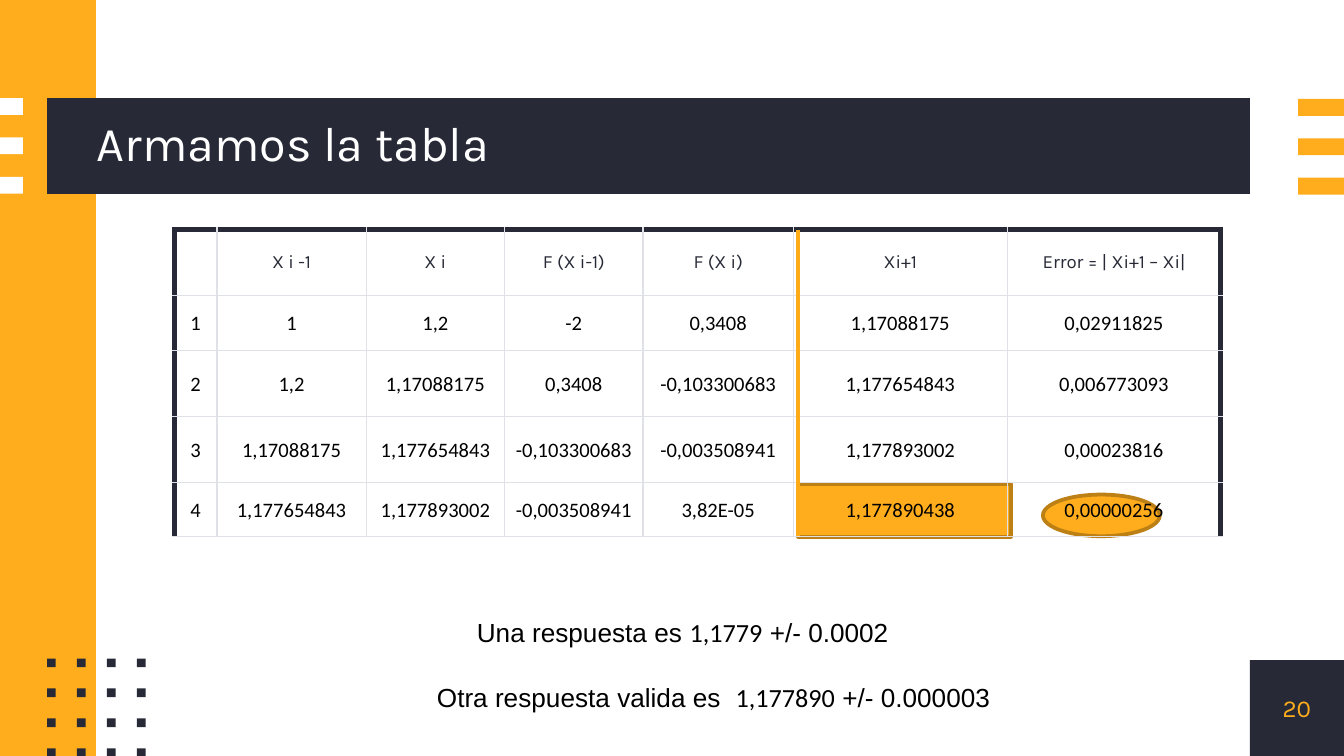
"""Build the slide with the table of secant method iterations."""
from dataclasses import dataclass

from lxml import etree
from pptx import Presentation, util as u
from pptx.dml.color import RGBColor
from pptx.enum import shapes, text
from pptx.oxml import ns


@dataclass(frozen=True)
class Theme:
    dark: str = "272A36"
    amber: str = "FFAD1D"
    rule: str = "FFAB17"
    ochre: str = "BD8015"
    grid: str = "E0E0E7"
    white: str = "FFFFFF"
    black: str = "000000"
    display: str = "Karla"
    body: str = "Arial"
    figures: str = "Calibri"
    title_size: int = 26
    answer_size: int = 14
    number_size: int = 13
    value_size: int = 11
    header_size: int = 10


theme = Theme()
cell_size = u.Inches(0.1)
columns, rows = 100, 56.25
deck = Presentation()
deck.slide_width = u.Emu(int(columns * cell_size))
deck.slide_height = u.Emu(int(rows * cell_size))
page = deck.slides.add_slide(deck.slide_layouts[6])


def add_block(area, fill, outline=None, kind=shapes.MSO_SHAPE.RECTANGLE):
    block = page.shapes.add_shape(kind, *[int(side * cell_size) for side in area])
    block.shadow.inherit = False
    block.fill.solid()
    block.fill.fore_color.rgb = RGBColor.from_string(fill)
    if outline:
        block.line.color.rgb = RGBColor.from_string(outline)
        block.line.width = u.Pt(2)
    else:
        block.line.fill.background()
    return block


def style_text(para, size, color, font=None, align=text.PP_ALIGN.CENTER):
    para.alignment = align
    para.font.size = u.Pt(size)
    para.font.color.rgb = RGBColor.from_string(color)
    if font:
        para.font.name = font


band = 7.13
number_box = add_block((columns - 7, rows - band, 7, band), theme.dark)
add_block((0, 0, band, rows), theme.amber)
title_box = add_block((3.5, 7.3, 89.5, band), theme.dark)
for step in range(3):
    top = 7.3 + step * 2.93
    add_block((0, top, 1.7, 1.25), theme.white)
    add_block((96.6, top + 0.07, 3.4, 1.25), theme.amber)
for row in range(4):
    for column in range(4):
        add_block((3.5 + column * 2.23, 49 + row * 2.23, 0.65, 0.65), theme.dark)
add_block((77.6, 36.8, 8.7, 3.1), theme.amber, theme.ochre, shapes.MSO_SHAPE.OVAL)
add_block((59.4, 36, 15.8, 3.95), theme.amber, theme.ochre)

labels = [
    (title_box, "Armamos la tabla", theme.title_size, theme.white, text.PP_ALIGN.LEFT, 3.7),
    (number_box, "20", theme.number_size, theme.amber, text.PP_ALIGN.CENTER, 0),
]
for box, words, size, color, align, indent in labels:
    frame = box.text_frame
    frame.margin_left = int(indent * cell_size)
    frame.margin_right = frame.margin_top = frame.margin_bottom = 0
    frame.vertical_anchor = text.MSO_ANCHOR.MIDDLE
    para = frame.paragraphs[0]
    para.text = words
    style_text(para, size, color, theme.display, align)
title_box.text_frame.paragraphs[0].line_spacing = 0.9

records = [
    ["", "X i -1", "X i", "F (X i-1)", "F (X i)", "Xi+1", "Error = | Xi+1 – Xi|"],
    ["1", "1", "1,2", "-2", "0,3408", "1,17088175", "0,02911825"],
    ["2", "1,2", "1,17088175", "0,3408", "-0,103300683", "1,177654843", "0,006773093"],
    ["3", "1,17088175", "1,177654843", "-0,103300683", "-0,003508941", "1,177893002", "0,00023816"],
    ["4", "1,177654843", "1,177893002", "-0,003508941", "3,82E-05", "1,177890438", "0,00000256"],
]
widths = [3.2, 11.1, 10.3, 10.3, 11.2, 15.9, 15.9]
heights = [4.9, 4.1, 4.9, 4.9, 4.05]
table_area = (12.95, 17.1, sum(widths), sum(heights))
table = page.shapes.add_table(
    len(heights), len(widths), *[int(side * cell_size) for side in table_area]
).table
table.first_row = table.horz_banding = False
for column, width in zip(table.columns, widths):
    column.width = int(width * cell_size)
for row, height in zip(table.rows, heights):
    row.height = int(height * cell_size)

for row, record in enumerate(records):
    for column, words in enumerate(record):
        cell = table.cell(row, column)
        header = row == 0
        cell.margin_left = cell.margin_right = u.Inches(0.1 if header else 0.01)
        cell.margin_top = u.Inches(0.07 if header else 0.01)
        cell.margin_bottom = u.Inches(0.07 if header else 0)
        cell.vertical_anchor = text.MSO_ANCHOR.MIDDLE
        para = cell.text_frame.paragraphs[0]
        para.text = words
        if header:
            style_text(para, theme.header_size, theme.dark, theme.display)
        else:
            style_text(para, theme.value_size, theme.black, theme.figures)
        heavy = {"L": column == 0, "R": column == len(widths) - 1, "T": header, "B": False}
        properties = cell._tc.get_or_add_tcPr()
        for side, outer in heavy.items():
            border = etree.SubElement(properties, ns.qn("a:ln" + side))
            border.set("w", str(int(u.Pt(3 if outer else 0.75))))
            fill = etree.SubElement(border, ns.qn("a:solidFill"))
            color = theme.dark if outer else theme.grid
            etree.SubElement(fill, ns.qn("a:srgbClr")).set("val", color)
        cell.fill.background()

rule_ends = (59.4, 17.1, 59.4, 39.9)
rule = page.shapes.add_connector(
    shapes.MSO_CONNECTOR.STRAIGHT, *[int(end * cell_size) for end in rule_ends]
)
rule.line.color.rgb = RGBColor.from_string(theme.rule)
rule.line.width = u.Pt(2.25)
etree.SubElement(rule._element.spPr, ns.qn("a:effectLst"))

answers = [
    (13.8, 45.4, "Una respuesta es ", "1,1779", " +/- 0.0002"),
    (16.1, 50.2, "Otra respuesta valida es  ", "1,177890", " +/- 0.000003"),
]
for left, top, lead, value, tolerance in answers:
    area = (left, top, 74, 3.4)
    box = page.shapes.add_textbox(*[int(side * cell_size) for side in area])
    box.text_frame.word_wrap = True
    para = box.text_frame.paragraphs[0]
    style_text(para, theme.answer_size, theme.black)
    for words, font in ((lead, theme.body), (value, theme.figures), (tolerance, theme.body)):
        span = para.add_run()
        span.text = words
        span.font.name = font

deck.save("out.pptx")
